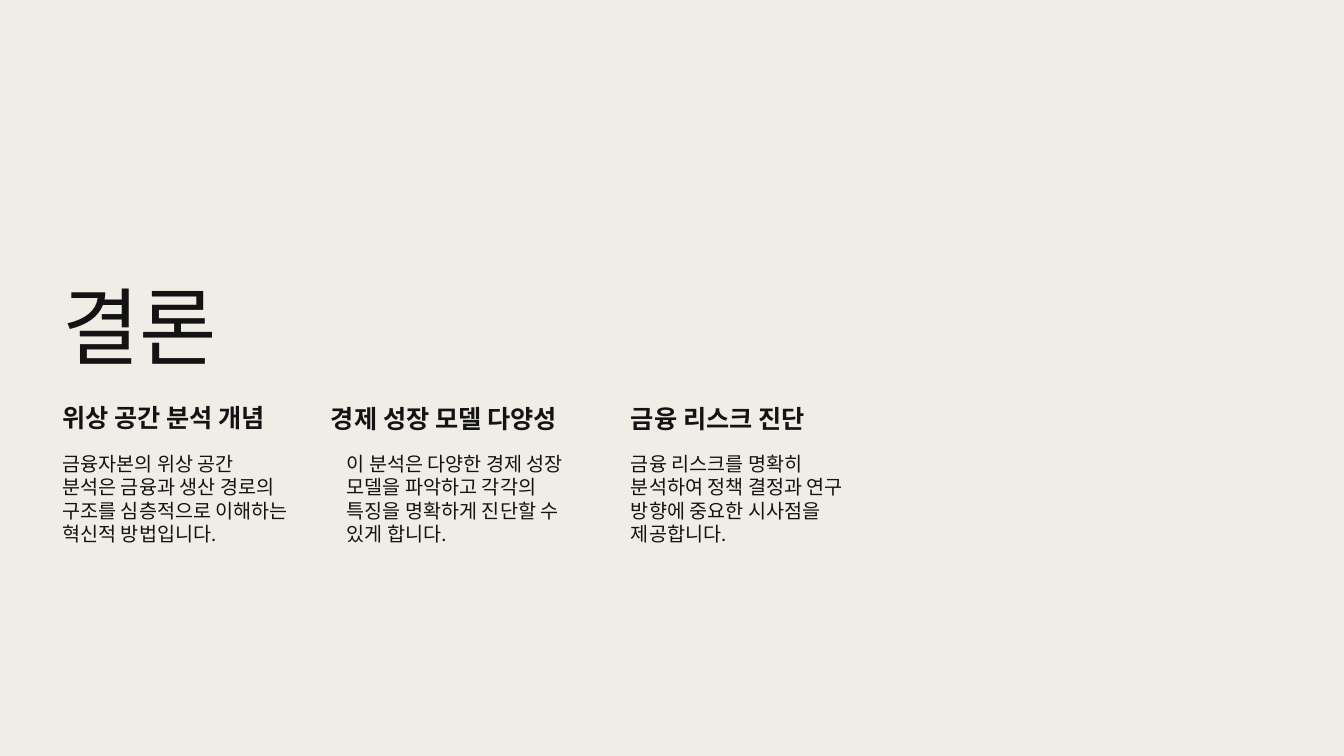
"""Build the closing slide: a title above three columns of findings."""
from pptx import Presentation
from pptx.dml.color import RGBColor
from pptx.enum.text import MSO_ANCHOR
from pptx.util import Pt

TOP, BOTTOM = MSO_ANCHOR.TOP, MSO_ANCHOR.BOTTOM
COLORS = {"paper": "F0EDE6", "ink": "131313"}
FONT = "Lato"
TITLE = "결론"
POINTS = [
    ("위상 공간 분석 개념", 174.2, 285.1,
     "금융자본의 위상 공간 분석은 금융과 생산 경로의 구조를 심층적으로 이해하는 혁신적 방법입니다."),
    ("경제 성장 모델 다양성", 196.6, 285.8,
     "이 분석은 다양한 경제 성장 모델을 파악하고 각각의 특징을 명확하게 진단할 수 있게 합니다."),
    ("금융 리스크 진단", 174.2, 285.8,
     "금융 리스크를 명확히 분석하여 정책 결정과 연구 방향에 중요한 시사점을 제공합니다."),
]
LEFT, STEP, WIDTH = 33.8, 203.05, 174.2
HEAD_H, BODY_TOP, BODY_H = 36, 321.1, 136.5
INSET = 10.8


def add_text(slide, text, box, size, pad, bold=False, anchor=TOP, line=None):
    """Add one text box holding a single run."""
    frame = slide.shapes.add_textbox(*[Pt(n) for n in box]).text_frame
    frame.word_wrap = True
    frame.vertical_anchor = anchor
    frame.margin_left = Pt(INSET)
    frame.margin_top = frame.margin_right = frame.margin_bottom = Pt(pad)
    para = frame.paragraphs[0]
    if line:
        para.line_spacing = line
    run = para.add_run()
    run.text = text
    font = run.font
    font.name, font.size, font.bold = FONT, Pt(size), bold
    font.color.rgb = RGBColor.from_string(COLORS["ink"])


def main():
    """Draw the slide and save it."""
    deck = Presentation()
    deck.slide_width, deck.slide_height = Pt(960), Pt(540)
    slide = deck.slides.add_slide(deck.slide_layouts[6])
    fill = slide.background.fill
    fill.solid()
    fill.fore_color.rgb = RGBColor.from_string(COLORS["paper"])

    add_text(slide, TITLE, (LEFT, 128.2, 2 * STEP + WIDTH, 144.7), 60, 3.6,
             anchor=BOTTOM, line=0.9)
    for col, (head, width, top, body) in enumerate(POINTS):
        left = LEFT + col * STEP
        start = left + (WIDTH - width) / 2
        add_text(slide, head, (start, top, width, HEAD_H), 18, 2.2, bold=True)
        add_text(slide, body, (left, BODY_TOP, WIDTH, BODY_H), 14, 1.4)
    deck.save("out.pptx")


if __name__ == "__main__":
    main()
